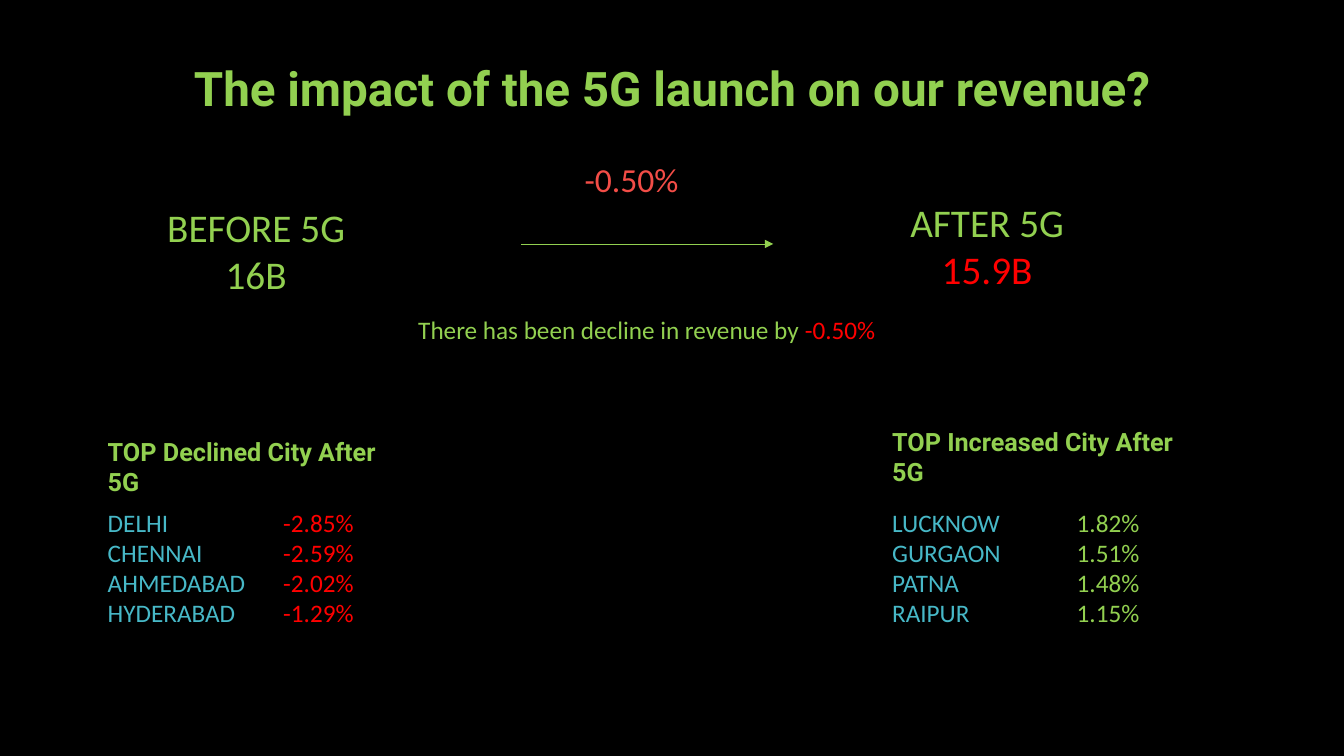
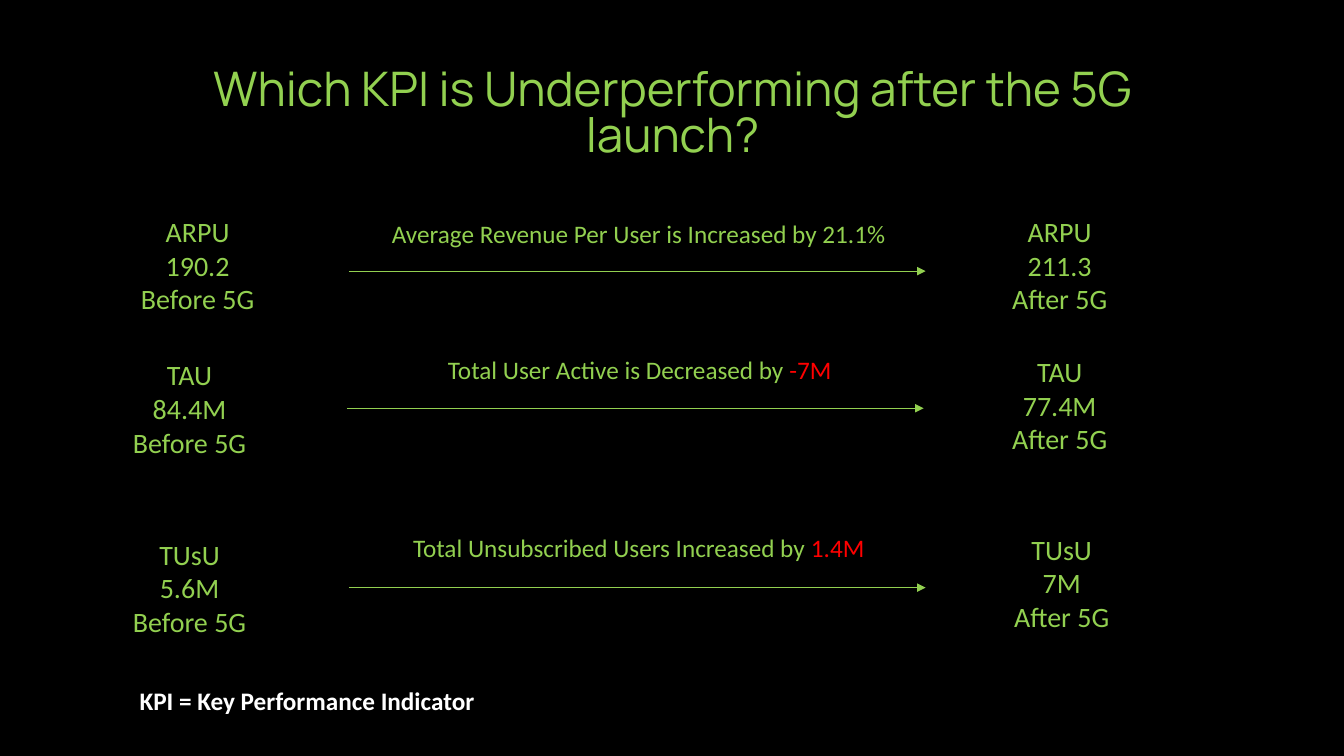
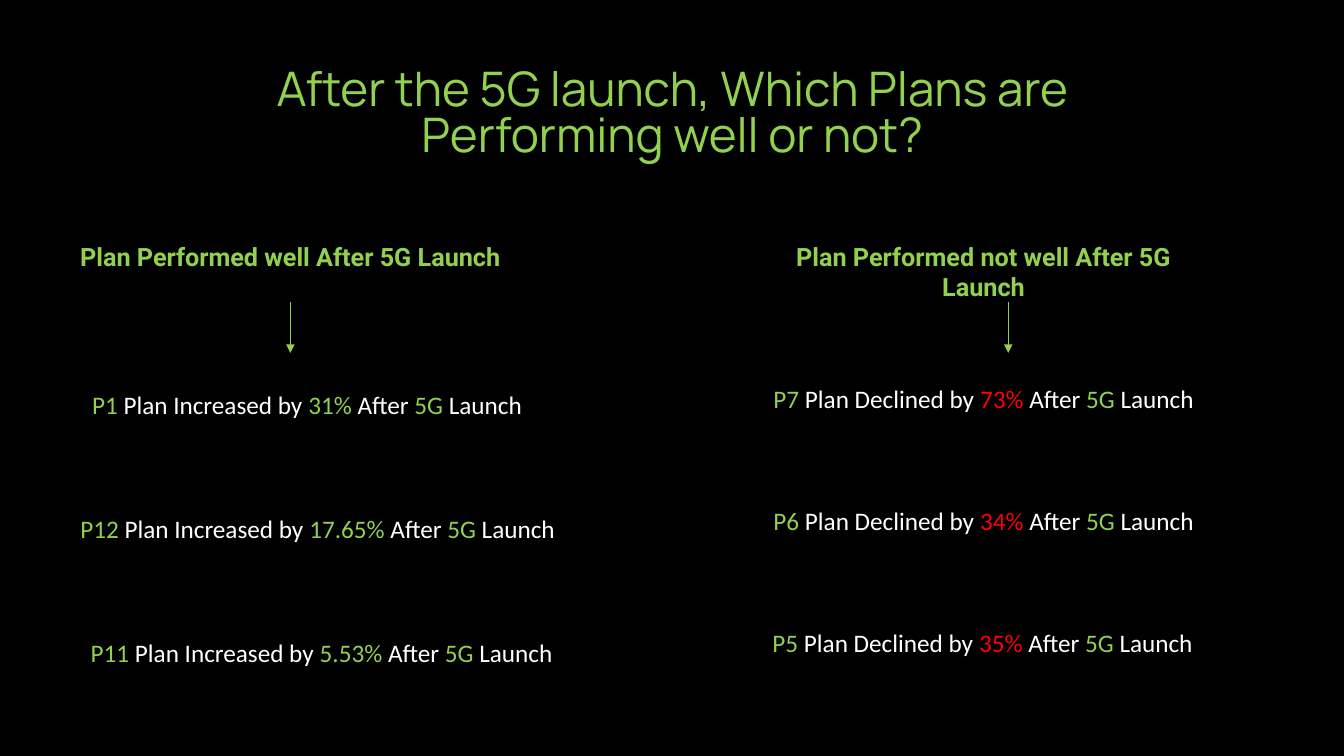
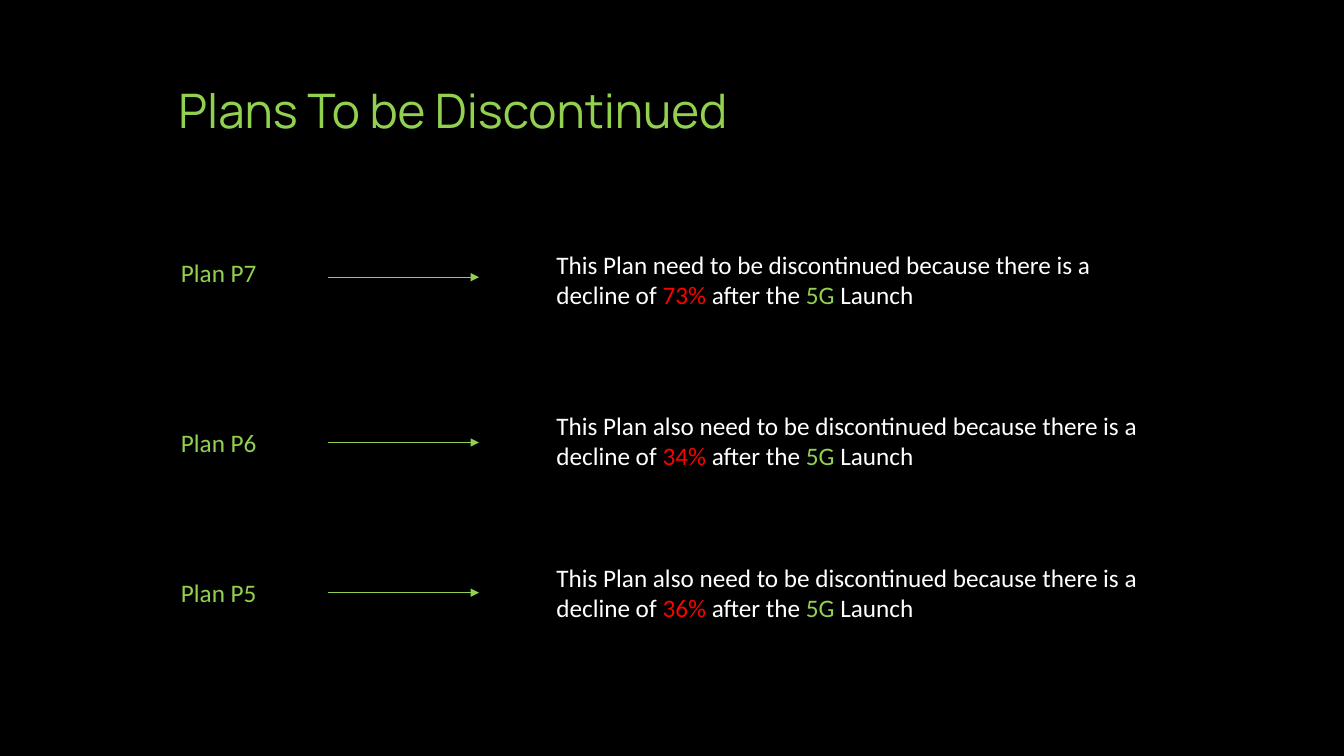
from dataclasses import dataclass

from lxml.etree import SubElement
from pptx import Presentation
from pptx.dml.color import RGBColor
from pptx.enum.shapes import MSO_CONNECTOR, MSO_SHAPE
from pptx.enum.text import MSO_ANCHOR, MSO_AUTO_SIZE, PP_ALIGN
from pptx.oxml.ns import qn
from pptx.util import Inches, Pt


@dataclass(frozen=True)
class Theme:
    black: RGBColor = RGBColor(0x00, 0x00, 0x00)
    white: RGBColor = RGBColor(0xFF, 0xFF, 0xFF)
    green: RGBColor = RGBColor(0x92, 0xD0, 0x50)
    red: RGBColor = RGBColor(0xFF, 0x00, 0x00)
    coral: RGBColor = RGBColor(0xF3, 0x4D, 0x47)
    teal: RGBColor = RGBColor(0x47, 0xB8, 0xC7)
    body: str = "Calibri"
    head: str = "Roboto"
    light: str = "Manrope"
    title: int = 34
    large: int = 28
    mid: int = 24
    label: int = 20
    text: int = 18
    line: float = 0.5


LEFT, CENTER = PP_ALIGN.LEFT, PP_ALIGN.CENTER


class Deck:
    def __init__(self, theme):
        self.theme = theme
        self.show = Presentation()
        self.show.slide_width = Inches(13.33)
        self.show.slide_height = Inches(7.5)
        fill = self.show.slide_master.background.fill
        fill.solid()
        fill.fore_color.rgb = theme.black
        self.slide = None

    def style(self, run, size, color, font, bold):
        run.font.size = Pt(size)
        run.font.color.rgb = color
        run.font.name = font
        run.font.bold = bold

    def typeset(self, frame, lines, size, color=None, font=None, bold=False, align=CENTER):
        color = color or self.theme.green
        font = font or self.theme.body
        for i, line in enumerate(lines):
            para = frame.add_paragraph() if i else frame.paragraphs[0]
            para.alignment = align
            if isinstance(line, str):
                para.text = line
                self.style(para.runs[0], size, color, font, bold)
                continue
            for words, tint in line:
                run = para.add_run()
                run.text = words
                self.style(run, size, tint, font, bold)

    def title(self, text, top, high, font, space=0.9, align=CENTER, bold=False):
        self.slide = self.show.slides.add_slide(self.show.slide_layouts[5])
        shape = self.slide.shapes.title
        shape.left, shape.top = Inches(1.67), Inches(top)
        shape.width, shape.height = Inches(10), Inches(high)
        frame = shape.text_frame
        frame.auto_size = MSO_AUTO_SIZE.NONE
        frame.vertical_anchor = MSO_ANCHOR.BOTTOM
        self.typeset(frame, [text], self.theme.title, font=font, bold=bold, align=align)
        frame.paragraphs[0].line_spacing = space

    def text(self, left, top, wide, high, lines, size=None, **look):
        box = self.slide.shapes.add_textbox(
            Inches(left), Inches(top), Inches(wide), Inches(high))
        frame = box.text_frame
        frame.word_wrap = True
        frame.auto_size = MSO_AUTO_SIZE.SHAPE_TO_FIT_TEXT
        self.typeset(frame, lines, size or self.theme.text, **look)
        return frame

    def head(self, left, top, wide, text, align=CENTER):
        self.text(left, top, wide, 0.4, [text],
                  font=self.theme.head, bold=True, align=align)

    def badge(self, left, top, wide, high, text):
        shape = self.slide.shapes.add_shape(
            MSO_SHAPE.RECTANGLE, Inches(left), Inches(top), Inches(wide), Inches(high))
        shape.shadow.inherit = False
        shape.fill.solid()
        shape.fill.fore_color.rgb = self.theme.black
        shape.line.color.rgb = self.theme.black
        shape.line.width = Pt(1)
        shape.text_frame.vertical_anchor = MSO_ANCHOR.MIDDLE
        self.typeset(shape.text_frame, [text], self.theme.mid, self.theme.coral)

    def arrow(self, x, y, wide=0, high=0):
        line = self.slide.shapes.add_connector(
            MSO_CONNECTOR.STRAIGHT, Inches(x), Inches(y), Inches(x + wide), Inches(y + high))
        line.line.color.rgb = self.theme.green
        line.line.width = Pt(self.theme.line)
        props = line.element.spPr
        SubElement(props.find(qn("a:ln")), qn("a:tailEnd"), type="triangle")
        SubElement(props, qn("a:effectLst"))

    def cities(self, left, stop, rows, tint):
        lines = [[(city + "\t", self.theme.teal), (rate, tint)] for city, rate in rows]
        frame = self.text(left, 4.98, 2.92, 1.31, lines, align=LEFT)
        for para in frame.paragraphs:
            tabs = SubElement(para._p.get_or_add_pPr(), qn("a:tabLst"))
            SubElement(tabs, qn("a:tab"), pos=str(Inches(stop)), algn="l")


def impact(deck):
    t = deck.theme
    deck.title("The impact of the 5G launch on our revenue?", 0.51, 0.7, t.head, bold=True)
    deck.text(1, 1.97, 3.08, 1.04, ["BEFORE 5G", "16B"], t.large)
    deck.text(8.25, 1.92, 3.08, 1.04, ["AFTER 5G", [("15.9B", t.red)]], t.large)
    deck.arrow(5.17, 2.42, wide=2.5)
    deck.text(3.58, 3.07, 5.67, 0.4,
              [[("There has been decline in revenue by ", t.green), ("-0.50%", t.red)]])
    deck.badge(5.58, 1.53, 1.37, 0.5, "-0.50%")
    deck.head(0.97, 4.28, 3.11, "TOP Declined City After 5G", LEFT)
    deck.head(8.75, 4.18, 3.33, "TOP Increased City After 5G", LEFT)
    deck.cities(0.97, 1.74, [("DELHI", "-2.85%"), ("CHENNAI", "-2.59%"),
                             ("AHMEDABAD", "-2.02%"), ("HYDERABAD", "-1.29%")], t.red)
    deck.cities(8.75, 1.83, [("LUCKNOW", "1.82%"), ("GURGAON", "1.51%"),
                             ("PATNA", "1.48%"), ("RAIPUR", "1.15%")], t.green)


def metrics(deck):
    t = deck.theme
    deck.title("Which KPI is Underperforming after the 5G launch?", 0.45, 1.2, t.light, 0.8)
    rows = [
        ("ARPU", "190.2", "211.3", "Average Revenue Per User is Increased by ", "21.1%", t.green,
         (0.75, 2.08), (9.3, 2.08), (3.5, 2.12), (3.46, 2.69)),
        ("TAU", "84.4M", "77.4M", "Total User Active is Decreased by ", "-7M", t.red,
         (0.67, 3.5), (9.3, 3.47), (3.51, 3.47), (3.44, 4.05)),
        ("TUsU", "5.6M", "7M", "Total Unsubscribed Users Increased by ", "1.4M", t.red,
         (0.67, 5.28), (9.32, 5.23), (3.5, 5.23), (3.46, 5.83)),
    ]
    for name, old, new, note, change, tint, start, end, mid, line in rows:
        deck.text(*start, 2.42, 1.11, [name, old, "Before 5G"], t.label)
        deck.text(*end, 2.42, 1.11, [name, new, "After 5G"], t.label)
        deck.text(*mid, 5.67, 0.4, [[(note, t.green), (change, tint)]])
        deck.arrow(*line, wide=5.72)
    deck.text(0.92, 6.75, 4.25, 0.4, ["KPI = Key Performance Indicator"],
              color=t.white, bold=True)


def plans(deck):
    t = deck.theme
    deck.title("After the 5G launch, Which Plans are Performing well or not?",
               0.45, 1.2, t.light, 0.8)
    sides = [
        (0.67, 4.42, "Plan Performed well After 5G Launch", 2.88, "Increased", t.green, 3.81, 1.23,
         [("P1", "31%", 0.71, 4.67), ("P12", "17.65%", 0.67, 4.96),
          ("P11", "5.53%", 0.71, 4.96)]),
        (7.42, 4.67, "Plan Performed not well After 5G Launch", 10, "Declined", t.red, 3.75, 1.21,
         [("P7", "73%", 7.42, 4.67), ("P6", "34%", 7.42, 4.67),
          ("P5", "35%", 7.41, 4.67)]),
    ]
    for left, wide, head, mid, verb, tint, top, step, rows in sides:
        deck.head(left, 2.34, wide, head)
        deck.arrow(mid, 3, high=0.5)
        for i, (plan, rate, x, span) in enumerate(rows):
            deck.text(x, top + i * step, span, 0.4, [[
                (plan, t.green), (f" Plan {verb} by ", t.white), (rate, tint),
                (" After ", t.white), ("5G ", t.green), ("Launch", t.white)]])


def ending(deck):
    t = deck.theme
    deck.title("Plans To be Discontinued", 0.18, 1.25, t.light, align=LEFT)
    rows = [("P7", "73%", "need", 2.5, 2.75, 2.42),
            ("P6", "34%", "also need", 4.19, 4.39, 4.02),
            ("P5", "36%", "also need", 5.68, 5.88, 5.53)]
    for plan, rate, need, top, line, note in rows:
        deck.text(1.42, top, 1.5, 0.4, [f"Plan {plan}"])
        deck.arrow(3.25, line, wide=1.5)
        deck.text(5.42, note, 6.17, 0.71, [[
            (f"This Plan {need} to be discontinued because there is a decline of ", t.white),
            (f"{rate} ", t.red), ("after the ", t.white),
            ("5G ", t.green), ("Launch", t.white)]], align=LEFT)


def main():
    deck = Deck(Theme())
    for build in (impact, metrics, plans, ending):
        build(deck)
    deck.show.save("out.pptx")


if __name__ == "__main__":
    main()
